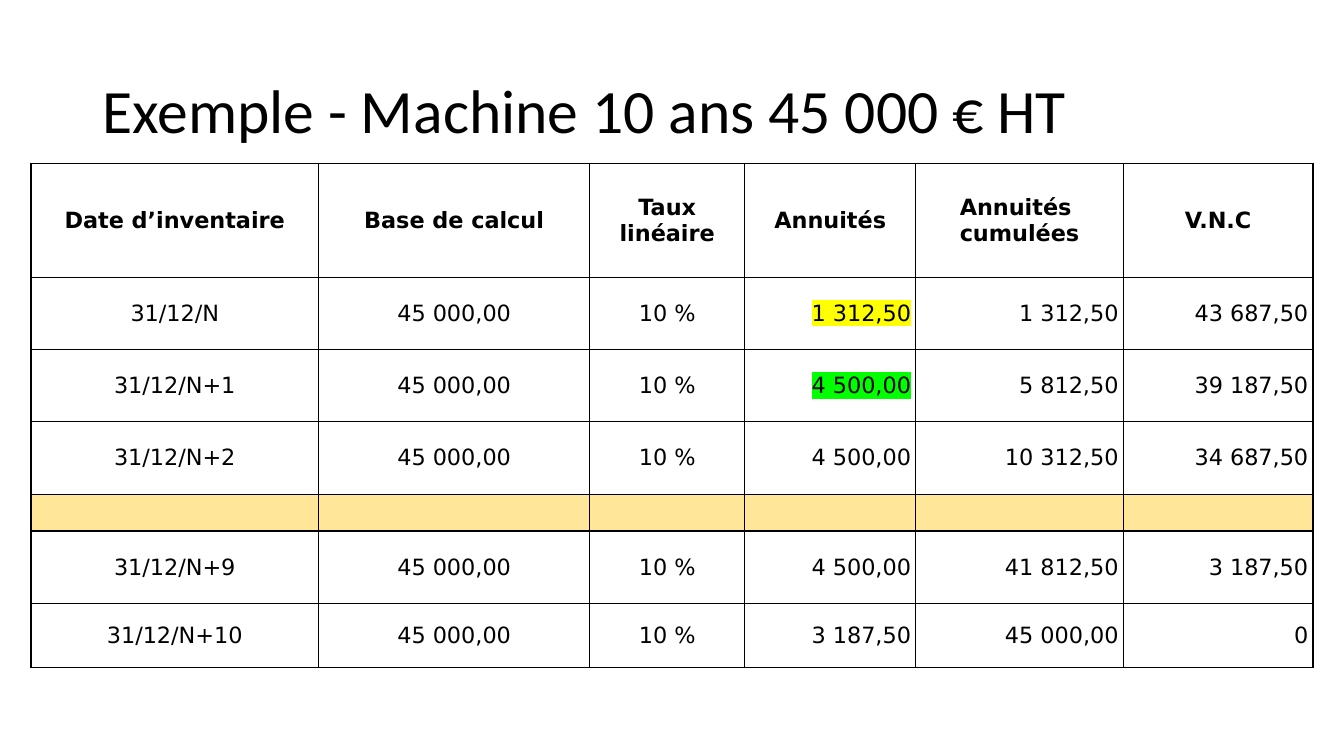
import copy
import dataclasses

import lxml.etree
import pptx
import pptx.dml.color
import pptx.enum.text
import pptx.oxml.ns
import pptx.util

Cm = pptx.util.Cm
Pt = pptx.util.Pt
qn = pptx.oxml.ns.qn
ALIGN = pptx.enum.text.PP_ALIGN
MIDDLE = pptx.enum.text.MSO_ANCHOR.MIDDLE


@dataclasses.dataclass(frozen=True)
class Theme:
    ink: str = "000000"
    gap_row: str = "FFE699"
    first_year: str = "FFFF00"
    full_year: str = "00FF00"
    title_font: str = "Calibri"
    table_font: str = "DejaVu Sans"
    title_size: int = 44
    table_size: int = 16
    border: int = 1


THEME = Theme()

# Depreciation schedule; "\n" starts a paragraph, "\v" a line
HEADINGS = ["Date d’inventaire", "Base de calcul", "Taux\nlinéaire",
            "Annuités", "Annuités \vcumulées", "V.N.C"]
BASE, RATE = "45 000,00", "10 %"
YEARS = [
    ("31/12/N", "1 312,50", "1 312,50", "43 687,50"),
    ("31/12/N+1", "4 500,00", "5 812,50", "39 187,50"),
    ("31/12/N+2", "4 500,00", "10 312,50", "34 687,50"),
    None,
    ("31/12/N+9", "4 500,00", "41 812,50", "3 187,50"),
    ("31/12/N+10", "3 187,50", "45 000,00", "0"),
]
HIGHLIGHTS = {(1, 3): THEME.first_year, (2, 3): THEME.full_year}
COLUMN_WIDTHS = [7.25, 6.83, 3.91, 4.31, 5.23, 4.78]
ROW_HEIGHTS = [2.87, 1.81, 1.83, 1.83, 0.92, 1.83, 1.61]
FIRST_AMOUNT_COLUMN = 3


def rgb(colour):
    return pptx.dml.color.RGBColor.from_string(colour)


def apply(target, values):
    for name, value in values.items():
        setattr(target, name, value)


def style_run(run, font, size, bold=False):
    apply(run.font, {"name": font, "size": Pt(size), "bold": bold})
    run.font.color.rgb = rgb(THEME.ink)


def highlight(run, colour):
    mark = lxml.etree.Element(qn("a:highlight"))
    lxml.etree.SubElement(mark, qn("a:srgbClr"), val=colour)
    run.font._element.find(qn("a:solidFill")).addnext(mark)


def draw_borders(cell):
    properties = cell._tc.get_or_add_tcPr()
    for index, side in enumerate("LRTB"):
        line = lxml.etree.Element(qn(f"a:ln{side}"), w=str(Pt(THEME.border)))
        fill = lxml.etree.SubElement(line, qn("a:solidFill"))
        lxml.etree.SubElement(fill, qn("a:srgbClr"), val=THEME.ink)
        properties.insert(index, line)


def fill_cell(cell, text, align, bold, mark):
    apply(cell, {"margin_left": Cm(0.12), "margin_right": Cm(0.12),
                 "margin_top": 0, "margin_bottom": 0,
                 "vertical_anchor": MIDDLE})
    cell.text = text
    for paragraph in cell.text_frame.paragraphs:
        paragraph.alignment = align
        for run in paragraph.runs:
            style_run(run, THEME.table_font, THEME.table_size, bold)
            if mark:
                highlight(run, mark)
        # Line breaks take the format of the text they divide
        for line_break in paragraph._p.findall(qn("a:br")):
            line_break.append(copy.deepcopy(paragraph.runs[0].font._element))


def add_title(slide, left, top, width, height):
    title = slide.shapes.add_textbox(Cm(left), Cm(top), Cm(width), Cm(height))
    apply(title.text_frame, {"word_wrap": True, "vertical_anchor": MIDDLE})
    paragraph = title.text_frame.paragraphs[0]
    paragraph.line_spacing = 0.9
    run = paragraph.add_run()
    run.text = "Exemple - Machine 10 ans 45 000 € HT"
    style_run(run, THEME.title_font, THEME.title_size)


def add_schedule(slide, left, top):
    rows = [HEADINGS] + [
        [year[0], BASE, RATE, *year[1:]] if year else [""] * len(HEADINGS)
        for year in YEARS]
    schedule = slide.shapes.add_table(
        len(rows), len(HEADINGS), Cm(left), Cm(top),
        Cm(sum(COLUMN_WIDTHS)), Cm(sum(ROW_HEIGHTS))).table
    apply(schedule, {"first_row": False, "horz_banding": False})
    for column, width in zip(schedule.columns, COLUMN_WIDTHS):
        column.width = Cm(width)
    for row, height in zip(schedule.rows, ROW_HEIGHTS):
        row.height = Cm(height)

    for r, texts in enumerate(rows):
        for c, text in enumerate(texts):
            cell = schedule.cell(r, c)
            is_amount = r > 0 and c >= FIRST_AMOUNT_COLUMN
            fill_cell(cell, text, ALIGN.RIGHT if is_amount else ALIGN.CENTER,
                      r == 0, HIGHLIGHTS.get((r, c)))
            # The coloured row stands for the years left out
            if any(texts):
                cell.fill.background()
            else:
                cell.fill.solid()
                cell.fill.fore_color.rgb = rgb(THEME.gap_row)
            draw_borders(cell)


def main():
    deck = pptx.Presentation()
    apply(deck, {"slide_width": Cm(33.87), "slide_height": Cm(19.05)})
    slide = deck.slides.add_slide(deck.slide_layouts[6])
    add_title(slide, 2.33, 1.01, 29.21, 3.68)
    add_schedule(slide, 0.78, 4.12)
    deck.save("out.pptx")


if __name__ == "__main__":
    main()
